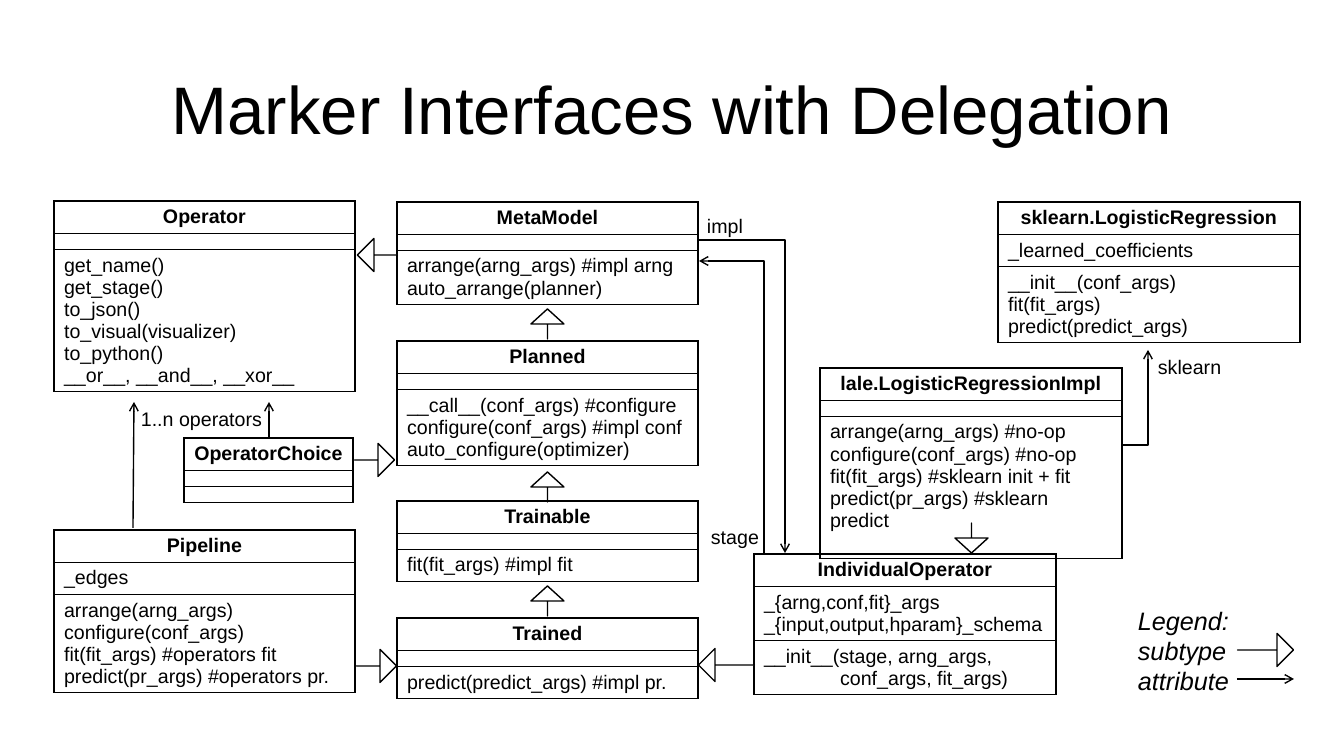
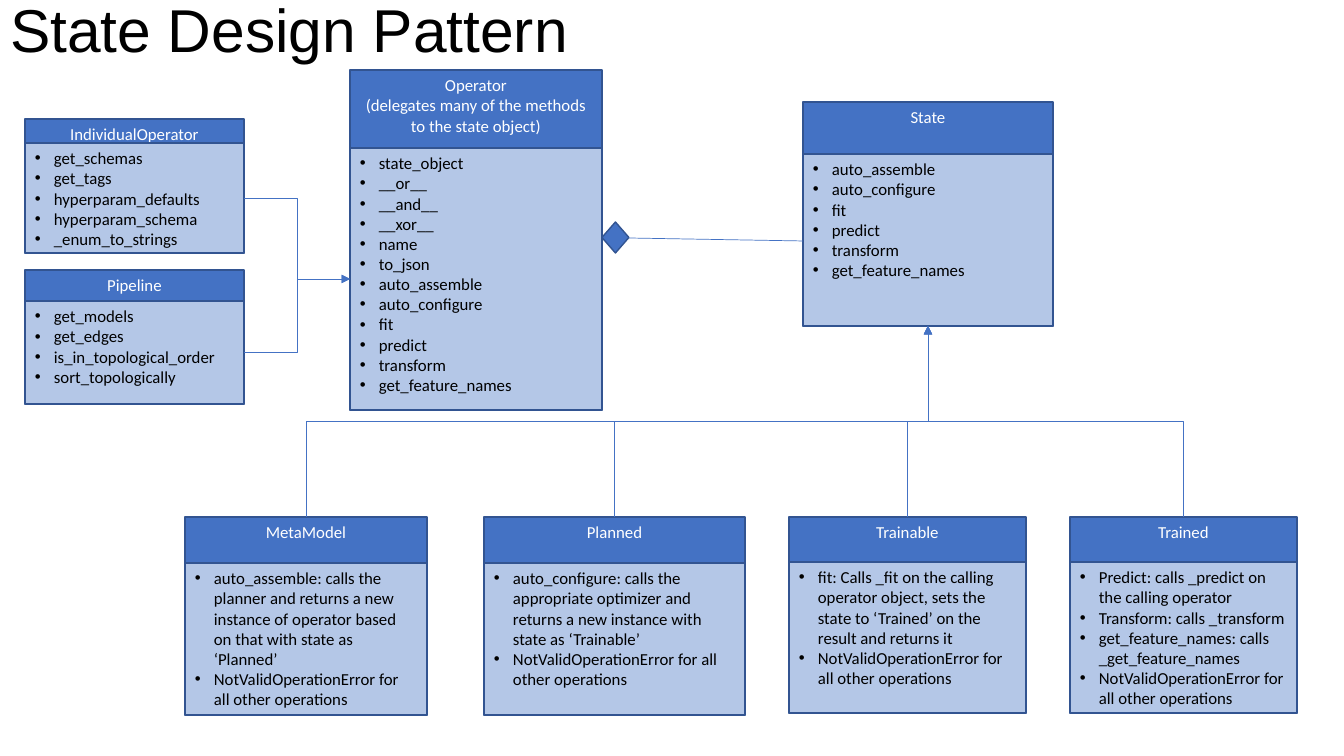
"""Build two class-diagram slides: marker interfaces and the state pattern."""
from math import ceil

from lxml import etree
from pptx import Presentation
from pptx.dml.color import RGBColor
from pptx.enum.shapes import MSO_CONNECTOR, MSO_SHAPE
from pptx.enum.text import MSO_ANCHOR, MSO_AUTO_SIZE, PP_ALIGN
from pptx.oxml.ns import qn
from pptx.util import Pt

SLIDE_WIDTH, SLIDE_HEIGHT = 1344, 756
EMU_PER_PX = 12192000 / SLIDE_WIDTH
BLACK = RGBColor(0x00, 0x00, 0x00)
WHITE = RGBColor(0xFF, 0xFF, 0xFF)
BLUE = RGBColor(0x44, 0x72, 0xC4)
DARK_BLUE = RGBColor(0x32, 0x54, 0x91)
PALE_BLUE = RGBColor(0xB4, 0xC7, 0xE7)
LINE_HEIGHT, CELL_PADDING, EMPTY_ROW = 22, 10, 16
LINE_LIMIT = 32
HANGING_INDENT = 76
BULLET_INDENT = 19
ARROW_WIDTH = 33

CLASS_TABLES = [
    ("MetaModel", 397, 202, 301, [],
     ["arrange(arng_args) #impl arng", "auto_arrange(planner)"]),
    ("Planned", 397, 341, 301, [],
     ["__call__(conf_args) #configure", "configure(conf_args) #impl conf",
      "auto_configure(optimizer)"]),
    ("Trainable", 397, 501, 301, [], ["fit(fit_args) #impl fit"]),
    ("Trained", 397, 618, 301, [], ["predict(predict_args) #impl pr."]),
    ("IndividualOperator", 754, 554, 302,
     ["_{arng,conf,fit}_args", "_{input,output,hparam}_schema"],
     ["__init__(stage, arng_args, conf_args, fit_args)"]),
    ("lale.LogisticRegressionImpl", 820, 368, 302, [],
     ["arrange(arng_args) #no-op", "configure(conf_args) #no-op",
      "fit(fit_args) #sklearn init + fit", "predict(pr_args) #sklearn predict"]),
    ("Pipeline", 54, 530, 301, ["_edges"],
     ["arrange(arng_args)", "configure(conf_args)",
      "fit(fit_args) #operators fit", "predict(pr_args) #operators pr."]),
    ("sklearn.LogisticRegression", 998, 202, 302, ["_learned_coefficients"],
     ["__init__(conf_args)", "fit(fit_args)", "predict(predict_args)"]),
    ("Operator", 54, 201, 301, [],
     ["get_name()", "get_stage()", "to_json()", "to_visual(visualizer)",
      "to_python()", "__or__, __and__, __xor__"]),
    ("OperatorChoice", 184, 438, 169, [], []),
]
SUBTYPE_ARROWS = [
    (531, 309, 30, 0), (531, 472, 30, 0), (531, 586, 30, 0),
    (955, 523, 30, 180), (361, 235, 40, 270), (360, 646, 40, 90),
    (358, 440, 40, 90), (710, 637, 56, 270), (1249, 622, 56, 90),
]
STRAIGHT_ATTRIBUTES = [
    ((133, 528), (134, 402)),
    ((269, 438), (269, 402)),
    ((1237, 679), (1294, 679)),
]
BENT_ATTRIBUTES = [
    ((1122, 445), (1148, 350), False),
    ((764, 553), (699, 261), True),
    ((699, 240), (785, 553), False),
]
LABELS = [
    (["stage"], (701, 520, 69, 34), 14, False),
    (["impl"], (697, 209, 56, 34), 14, False),
    (["1..n operators"], (131, 402, 142, 34), 14, False),
    (["sklearn"], (1148, 350, 84, 34), 14, False),
    (["Legend:", "subtype", "attribute"], (1128, 600, 114, 102), 18, True),
]

NOT_VALID = "NotValidOperationError for all other operations"
STATE_METHODS = ["auto_assemble", "auto_configure", "fit", "predict",
                 "transform", "get_feature_names"]
CLASS_CARDS = [
    (["Operator", "(delegates many of the methods to the state object)"],
     (350, 70, 252, 340), 78,
     ["state_object", "__or__", "__and__", "__xor__", "name", "to_json"]
     + STATE_METHODS),
    (["State"], (803, 102, 250, 224), 52, STATE_METHODS),
    (["MetaModel"], (185, 517, 242, 198), 46,
     ["auto_assemble: calls the planner and returns a new instance of operator "
      "based on that with state as ‘Planned’", NOT_VALID]),
    (["Planned"], (484, 517, 261, 198), 46,
     ["auto_configure: calls the appropriate optimizer and returns a new "
      "instance with state as ‘Trainable’", NOT_VALID]),
    (["Trainable"], (789, 517, 237, 196), 45,
     ["fit: Calls _fit on the calling operator object, sets the state to "
      "‘Trained’ on the result and returns it", NOT_VALID]),
    (["Trained"], (1070, 517, 227, 196), 45,
     ["Predict: calls _predict on the calling operator",
      "Transform: calls _transform",
      "get_feature_names: calls _get_feature_names", NOT_VALID]),
    (["IndividualOperator"], (25, 119, 219, 134), 24,
     ["get_schemas", "get_tags", "hyperparam_defaults", "hyperparam_schema",
      "_enum_to_strings"]),
    (["Pipeline"], (25, 270, 219, 134), 31,
     ["get_models", "get_edges", "is_in_topological_order",
      "sort_topologically"]),
]
OPERATOR_SUBTYPES = ["IndividualOperator", "Pipeline"]
STATE_SUBTYPES = ["MetaModel", "Planned", "Trainable", "Trained"]
TOP, LEFT, BOTTOM, RIGHT = range(4)


def px(*lengths):
    """Convert pixel lengths to EMU."""
    return [round(length * EMU_PER_PX) for length in lengths]


def write_lines(text_frame, lines, size, font_name, color, bold=False,
                italic=False, alignment=PP_ALIGN.LEFT, bullet=False):
    """Write one formatted paragraph per line."""
    for index, line in enumerate(lines):
        paragraph = text_frame.add_paragraph() if index else text_frame.paragraphs[0]
        paragraph.text = line
        paragraph.alignment = alignment
        if bullet:
            properties = indent_paragraph(paragraph, BULLET_INDENT)
            etree.SubElement(properties, qn("a:buFont"), typeface="Arial")
            etree.SubElement(properties, qn("a:buChar"), char="•")
        font = paragraph.font
        font.size, font.name = Pt(size), font_name
        font.bold, font.italic = bold, italic
        font.color.rgb = color


def indent_paragraph(paragraph, indent):
    """Give a paragraph a hanging indent and return its properties."""
    properties = paragraph._p.get_or_add_pPr()
    [width] = px(indent)
    properties.set("marL", str(width))
    properties.set("indent", str(-width))
    return properties


def add_titled_slide(presentation, title, box, size, alignment):
    """Add a title-only slide with the shared title style."""
    slide = presentation.slides.add_slide(presentation.slide_layouts[5])
    shape = slide.shapes.title
    shape.left, shape.top, shape.width, shape.height = px(*box)
    text_frame = shape.text_frame
    text_frame.auto_size = MSO_AUTO_SIZE.NONE
    text_frame.vertical_anchor = MSO_ANCHOR.MIDDLE
    write_lines(text_frame, [title], size, "Arial", BLACK, alignment=alignment)
    text_frame.paragraphs[0].line_spacing = 0.9
    return slide


def add_shape(slide, preset, box, fill, line):
    """Add a flat preset shape with a thin outline."""
    shape = slide.shapes.add_shape(preset, *px(*box))
    shape.shadow.inherit = False
    shape.fill.solid()
    shape.fill.fore_color.rgb = fill
    shape.line.color.rgb = line
    shape.line.width = Pt(1)
    return shape


def style_connector(connector, color, width, arrowhead=None):
    """Colour a connector, drop its shadow and add an arrowhead."""
    connector.line.color.rgb = color
    connector.line.width = Pt(width)
    properties = connector._element.spPr
    if arrowhead:
        etree.SubElement(properties.find(qn("a:ln")), qn("a:tailEnd"), type=arrowhead)
    etree.SubElement(properties, qn("a:effectLst"))


def leave_vertically(connector):
    """Rotate an elbow so that it leaves its start vertically."""
    start_x, start_y = connector.begin_x, connector.begin_y
    end_x, end_y = connector.end_x, connector.end_y
    sign = 1 if end_x > start_x else -1
    center_x, center_y = (start_x + end_x) // 2, (start_y + end_y) // 2
    half_width = sign * (end_y - start_y) // 2
    half_height = -sign * (end_x - start_x) // 2
    connector.begin_x, connector.begin_y = center_x - half_width, center_y - half_height
    connector.end_x, connector.end_y = center_x + half_width, center_y + half_height
    connector.rotation = 90 if sign > 0 else 270


def draw_borders(cell):
    """Draw a black border on all sides of a table cell."""
    properties = cell._tc.get_or_add_tcPr()
    for side in ("lnL", "lnR", "lnT", "lnB"):
        border = etree.SubElement(properties, qn(f"a:{side}"), w=str(Pt(1)))
        fill = etree.SubElement(border, qn("a:solidFill"))
        etree.SubElement(fill, qn("a:srgbClr"), val=str(BLACK))


def row_height(lines):
    """Return the height of a table row, counting wrapped lines."""
    count = sum(ceil(len(line) / LINE_LIMIT) for line in lines)
    return count * LINE_HEIGHT + CELL_PADDING if lines else EMPTY_ROW


def add_class_table(slide, name, left, top, width, attributes, methods):
    """Add a three-row class table."""
    rows = [[name], attributes, methods]
    heights = [row_height(lines) for lines in rows]
    table = slide.shapes.add_table(
        len(rows), 1, *px(left, top, width, sum(heights))).table
    table.first_row = table.horz_banding = False
    for index, lines in enumerate(rows):
        [table.rows[index].height] = px(heights[index])
        cell = table.cell(index, 0)
        draw_borders(cell)
        cell.fill.background()
        is_header = index == 0
        if is_header:
            cell.margin_left = cell.margin_right = 0
        if not lines:
            cell.margin_top = cell.margin_bottom = 0
            etree.SubElement(cell.text_frame.paragraphs[0]._p,
                             qn("a:endParaRPr"), sz="500")
            continue
        write_lines(cell.text_frame, lines, 14, "Arial", BLACK, bold=is_header,
                    alignment=PP_ALIGN.CENTER if is_header else PP_ALIGN.LEFT)
        for paragraph in cell.text_frame.paragraphs:
            if len(paragraph.text) > LINE_LIMIT + 1:
                indent_paragraph(paragraph, HANGING_INDENT)


def build_interfaces_slide(presentation):
    """Build the marker interface diagram."""
    slide = add_titled_slide(presentation, "Marker Interfaces with Delegation",
                             (0, 40, SLIDE_WIDTH, 146), 48, PP_ALIGN.CENTER)
    for class_table in CLASS_TABLES:
        add_class_table(slide, *class_table)
    for left, top, length, rotation in SUBTYPE_ARROWS:
        arrow = add_shape(slide, MSO_SHAPE.UP_ARROW,
                          (left, top, ARROW_WIDTH, length), WHITE, BLACK)
        arrow.adjustments[0], arrow.adjustments[1] = 0, 0.5
        arrow.rotation = rotation
    for start, end in STRAIGHT_ATTRIBUTES:
        connector = slide.shapes.add_connector(
            MSO_CONNECTOR.STRAIGHT, *px(*start, *end))
        style_connector(connector, BLACK, 1, "arrow")
    for start, end, vertical in BENT_ATTRIBUTES:
        connector = slide.shapes.add_connector(MSO_CONNECTOR.ELBOW, *px(*start, *end))
        geometry = connector._element.spPr.find(qn("a:prstGeom"))
        geometry.set("prst", "bentConnector2")
        if vertical:
            leave_vertically(connector)
        style_connector(connector, BLACK, 1, "arrow")
    for lines, box, size, italic in LABELS:
        text_frame = slide.shapes.add_textbox(*px(*box)).text_frame
        text_frame.word_wrap = False
        text_frame.auto_size = MSO_AUTO_SIZE.SHAPE_TO_FIT_TEXT
        write_lines(text_frame, lines, size, "Arial", BLACK, italic=italic)


def add_class_card(slide, names, box, header_height, members):
    """Add a class card and return its header and body."""
    left, top, width, height = box
    header = add_shape(slide, MSO_SHAPE.RECTANGLE, box, BLUE, DARK_BLUE)
    body_box = (left, top + header_height, width, height - header_height)
    body = add_shape(slide, MSO_SHAPE.RECTANGLE, body_box, PALE_BLUE, DARK_BLUE)
    header.text_frame.vertical_anchor = body.text_frame.vertical_anchor = MSO_ANCHOR.TOP
    write_lines(header.text_frame, names, 12, "Calibri", WHITE,
                alignment=PP_ALIGN.CENTER)
    write_lines(body.text_frame, members, 12, "Calibri", BLACK, bullet=True)
    return header, body


def link_shapes(slide, source, source_site, target, target_site):
    """Join two shapes with an elbow arrow."""
    connector = slide.shapes.add_connector(MSO_CONNECTOR.ELBOW, 0, 0, 0, 0)
    connector.begin_connect(source, source_site)
    connector.end_connect(target, target_site)
    if source_site == TOP:
        leave_vertically(connector)
    style_connector(connector, BLUE, 0.5, "triangle")


def build_state_slide(presentation):
    """Build the state pattern diagram."""
    slide = add_titled_slide(presentation, "State Design Pattern",
                             (0, 0, SLIDE_WIDTH, 66), 43.2, PP_ALIGN.LEFT)
    cards = {card[0][0]: add_class_card(slide, *card) for card in CLASS_CARDS}
    add_shape(slide, MSO_SHAPE.DIAMOND, (602, 222, 27, 31), BLUE, DARK_BLUE)
    aggregation = slide.shapes.add_connector(
        MSO_CONNECTOR.STRAIGHT, *px(629, 238, 803, 241))
    style_connector(aggregation, BLUE, 0.5)
    for name in STATE_SUBTYPES:
        link_shapes(slide, cards[name][0], TOP, cards["State"][1], BOTTOM)
    for name in OPERATOR_SUBTYPES:
        link_shapes(slide, cards[name][1], RIGHT, cards["Operator"][1], LEFT)


def main():
    """Build and save the presentation."""
    presentation = Presentation()
    presentation.slide_width, presentation.slide_height = px(SLIDE_WIDTH, SLIDE_HEIGHT)
    build_interfaces_slide(presentation)
    build_state_slide(presentation)
    presentation.save("out.pptx")


if __name__ == "__main__":
    main()
